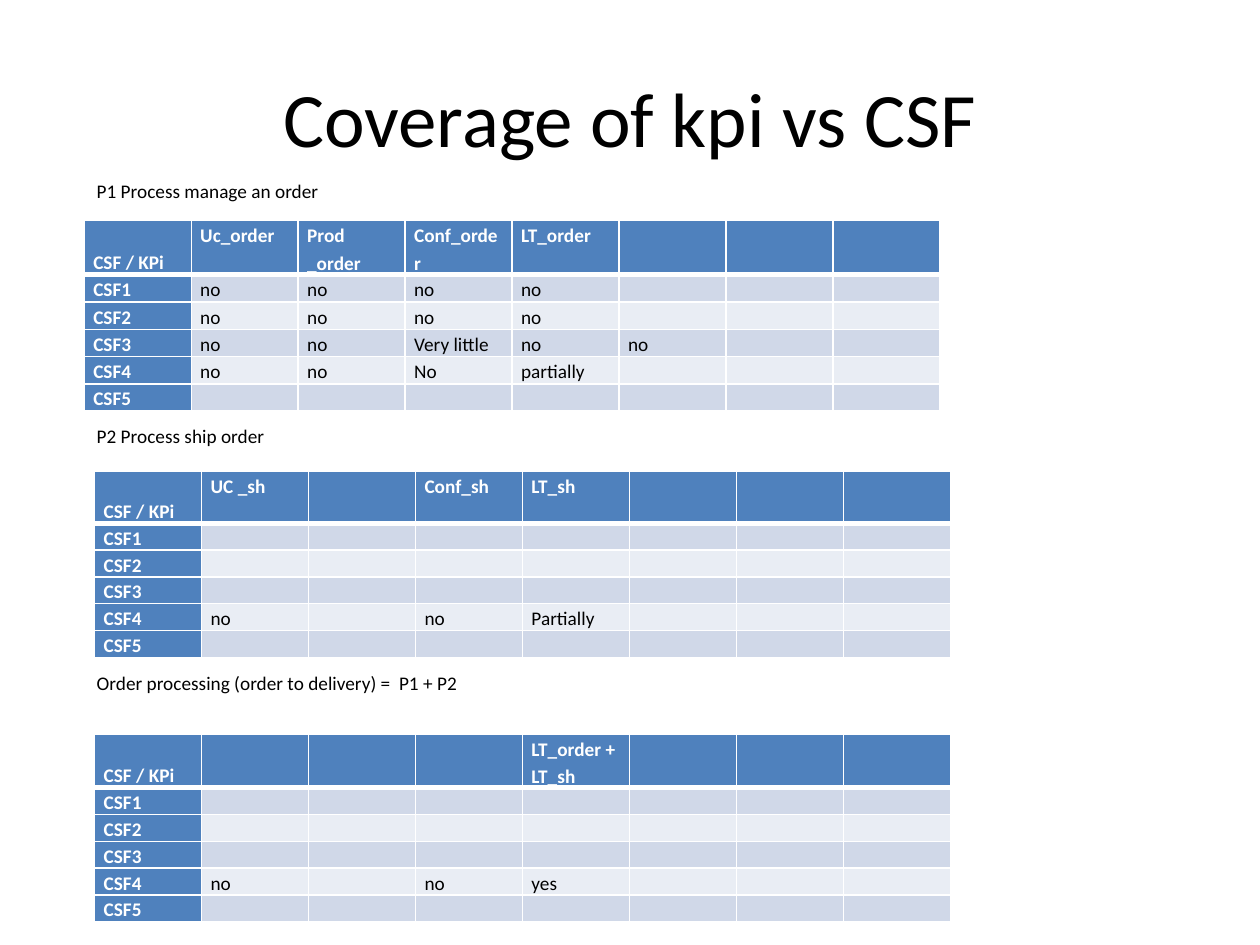
"""Build a slide of three KPI coverage tables, one for each process."""
from lxml.etree import SubElement
from pptx import Presentation
from pptx.dml.color import RGBColor
from pptx.enum.text import MSO_ANCHOR, PP_ALIGN
from pptx.oxml.ns import qn
from pptx.util import Cm, Pt

TITLE = "Coverage of kpi vs CSF"
CORNER = "CSF / KPi"
GOALS = ["CSF1", "CSF2", "CSF3", "CSF4", "CSF5"]
COLS = 8
PARTS = [
    {"label": "P1 Process manage an order", "anchor": MSO_ANCHOR.TOP,
     "text": (1.7, 3.61), "grid": (1.7, 4.45), "rows": (1.09, 0.55),
     "heads": ["Uc_order", "Prod _order", "Conf_order", "LT_order"],
     "marks": {"CSF1": ["no", "no", "no", "no"],
               "CSF2": ["no", "no", "no", "no"],
               "CSF3": ["no", "no", "Very little", "no", "no"],
               "CSF4": ["no", "no", "No", "partially"]}},
    {"label": "P2 Process ship order", "anchor": MSO_ANCHOR.MIDDLE,
     "text": (1.7, 8.15), "grid": (1.91, 9.5), "rows": (1.05, 0.54),
     "heads": ["UC _sh", "", "Conf_sh", "LT_sh"],
     "marks": {"CSF4": ["no", "", "no", "Partially"]}},
    {"label": "Order processing (order to delivery) =  P1 + P2",
     "anchor": MSO_ANCHOR.TOP,
     "text": (1.7, 13.54), "grid": (1.91, 14.81), "rows": (1.05, 0.54),
     "heads": ["", "", "", "LT_order + LT_sh"],
     "marks": {"CSF4": ["no", "", "no", "yes"]}},
]
HEX = {"head": "4F81BD", "odd": "D0D8E8", "even": "E9EDF4",
       "white": "FFFFFF", "black": "000000"}


def tint(name):
    return RGBColor.from_string(HEX[name])


def style(para, size, ink="black", bold=False):
    font = para.font
    font.name, font.size, font.bold = "Calibri", Pt(size), bold
    font.color.rgb = tint(ink)


def write(slide, text, box, size, anchor, align=PP_ALIGN.LEFT):
    frame = slide.shapes.add_textbox(*map(Cm, box)).text_frame
    frame.word_wrap = True
    frame.vertical_anchor = anchor
    frame.margin_top = frame.margin_bottom = 0
    para = frame.paragraphs[0]
    para.text, para.alignment = text, align
    style(para, size)


def edge(cell, row):
    widths = {"a:lnL": 1, "a:lnR": 1, "a:lnT": 3 if row == 1 else 1,
              "a:lnB": 3 if row == 0 else 1}
    props = cell._tc.get_or_add_tcPr()
    for tag, width in widths.items():
        line = SubElement(props, qn(tag), w=str(Pt(width)))
        fill = SubElement(line, qn("a:solidFill"))
        SubElement(fill, qn("a:srgbClr"), val=HEX["white"])


def dress(cell, text, row, col):
    head = row == 0 or col == 0
    edge(cell, row)
    cell.fill.solid()
    cell.fill.fore_color.rgb = tint("head" if head else "odd" if row % 2 else "even")
    cell.margin_left = cell.margin_right = Cm(0.18)
    cell.margin_top = cell.margin_bottom = 0
    if row == col == 0:
        cell.vertical_anchor = MSO_ANCHOR.BOTTOM
    para = cell.text_frame.paragraphs[0]
    para.text, para.line_spacing = text, 1.15
    style(para, 11, "white" if head else "black", head)
    if not text:
        para._p.get_or_add_endParaRPr().set("sz", "1100")


def chart(slide, part):
    rows = [[CORNER] + part["heads"]]
    rows += [[goal] + part["marks"].get(goal, []) for goal in GOALS]
    top, step = part["rows"]
    size = (17.25, top + step * len(GOALS))
    table = slide.shapes.add_table(
        len(rows), COLS, *map(Cm, part["grid"] + size)).table
    for col in table.columns:
        col.width = Cm(size[0] / COLS)
    for r, texts in enumerate(rows):
        table.rows[r].height = Cm(step if r else top)
        for c, text in enumerate(texts + [""] * (COLS - len(texts))):
            dress(table.cell(r, c), text, r, c)


def main():
    deck = Presentation()
    deck.slide_width, deck.slide_height = Cm(25.4), Cm(19.05)
    slide = deck.slides.add_slide(deck.slide_layouts[6])
    write(slide, TITLE, (1.27, 0.76, 22.86, 3.18), 44,
          MSO_ANCHOR.MIDDLE, PP_ALIGN.CENTER)
    for part in PARTS:
        chart(slide, part)
        write(slide, part["label"], part["text"] + (23.7, 1.27), 11, part["anchor"])
    deck.save("out.pptx")


if __name__ == "__main__":
    main()
